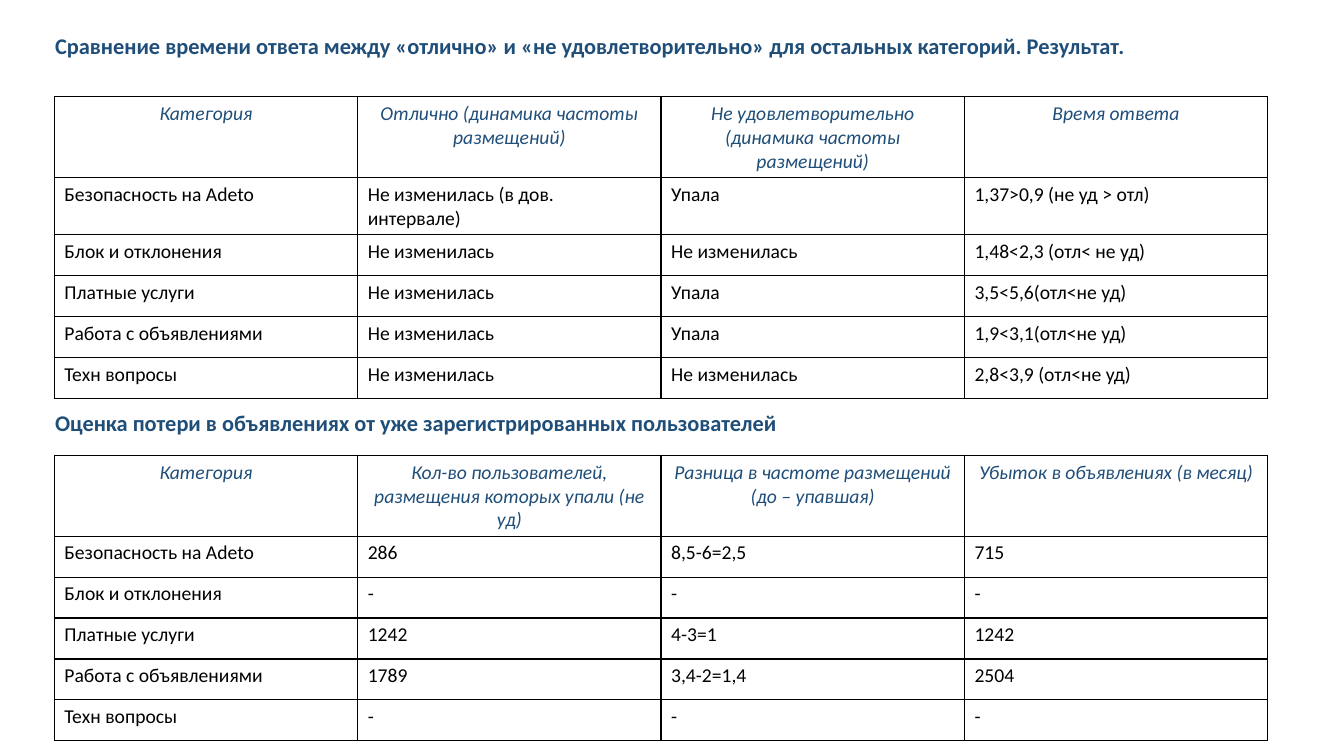
from lxml.etree import SubElement
from pptx import Presentation
from pptx.dml.color import RGBColor
from pptx.enum.text import MSO_AUTO_SIZE, PP_ALIGN
from pptx.oxml.ns import qn
from pptx.util import Cm, Pt

BLUE, BLACK = "1F4E79", "000000"
TOPICS = ["Безопасность на Adeto", "Блок и отклонения", "Платные услуги",
          "Работа с объявлениями", "Техн вопросы"]
SAME, FELL = "Не изменилась", "Упала"

TIMES = [
    ["Отлично (динамика частоты размещений)",
     "Не удовлетворительно\n(динамика частоты размещений)", "Время ответа"],
    ["Не изменилась (в дов. интервале)", FELL, "1,37>0,9 (не уд > отл)"],
    [SAME, SAME, "1,48<2,3 (отл< не уд)"],
    [SAME, FELL, "3,5<5,6(отл<не уд)"],
    [SAME, FELL, "1,9<3,1(отл<не уд)"],
    [SAME, SAME, "2,8<3,9 (отл<не уд)"],
]
LOSSES = [
    ["Кол-во пользователей, размещения которых упали (не уд)",
     "Разница в частоте размещений (до – упавшая)",
     "Убыток в объявлениях (в месяц)"],
    ["286", "8,5-6=2,5", "715"],
    ["-"] * 3,
    ["1242", "4-3=1", "1242"],
    ["1789", "3,4-2=1,4", "2504"],
    ["-"] * 3,
]


def paint(color):
    return RGBColor.from_string(color)


def write(frame, text, size=14, color=BLACK, bold=False, italic=False,
          align=PP_ALIGN.LEFT):
    for i, line in enumerate(text.split("\n")):
        para = frame.paragraphs[0] if i == 0 else frame.add_paragraph()
        para.alignment = align
        run = para.add_run()
        run.text = line
        font = run.font
        font.name, font.size = "Calibri", Pt(size)
        font.bold, font.italic = bold, italic
        font.color.rgb = paint(color)


def frame_cell(cell):
    """Draw a thin black border on all four sides."""
    props = cell._tc.get_or_add_tcPr()
    for side in ("lnL", "lnR", "lnT", "lnB"):
        line = SubElement(props, qn(f"a:{side}"), w=str(Pt(1)))
        fill = SubElement(line, qn("a:solidFill"))
        SubElement(fill, qn("a:srgbClr"), val=BLACK)


class Page:
    left, width, row = 1.37, 30.58, 1.03

    def __init__(self, deck):
        self.slide = deck.slides.add_slide(deck.slide_layouts[6])

    def title(self, text, top, width):
        box = self.slide.shapes.add_textbox(
            Cm(1.14), Cm(top), Cm(width), Cm(0.94))
        frame = box.text_frame
        frame.word_wrap = False
        frame.auto_size = MSO_AUTO_SIZE.SHAPE_TO_FIT_TEXT
        write(frame, text, size=16, color=BLUE, bold=True)

    def table(self, data, top):
        """Add a grid whose first column lists the topics."""
        rows = [[name, *vals]
                for name, vals in zip(["Категория", *TOPICS], data)]
        grid = self.slide.shapes.add_table(
            len(rows), len(rows[0]), Cm(self.left), Cm(top),
            Cm(self.width), Cm(self.row * len(rows))).table
        grid.first_row = grid.horz_banding = False
        head = dict(color=BLUE, italic=True, align=PP_ALIGN.CENTER)
        for r, vals in enumerate(rows):
            for c, text in enumerate(vals):
                cell = grid.cell(r, c)
                frame_cell(cell)
                cell.fill.background()
                write(cell.text_frame, text, **({} if r else head))


def main():
    deck = Presentation()
    deck.slide_width, deck.slide_height = Cm(33.87), Cm(19.05)
    page = Page(deck)
    page.title("Сравнение времени ответа между «отлично» и «не "
               "удовлетворительно» для остальных категорий. Результат.",
               0.69, 27.79)
    page.table(TIMES, 2.44)
    page.title("Оценка потери в объявлениях от уже зарегистрированных "
               "пользователей", 10.19, 18.9)
    page.table(LOSSES, 11.48)
    deck.save("out.pptx")


if __name__ == "__main__":
    main()
